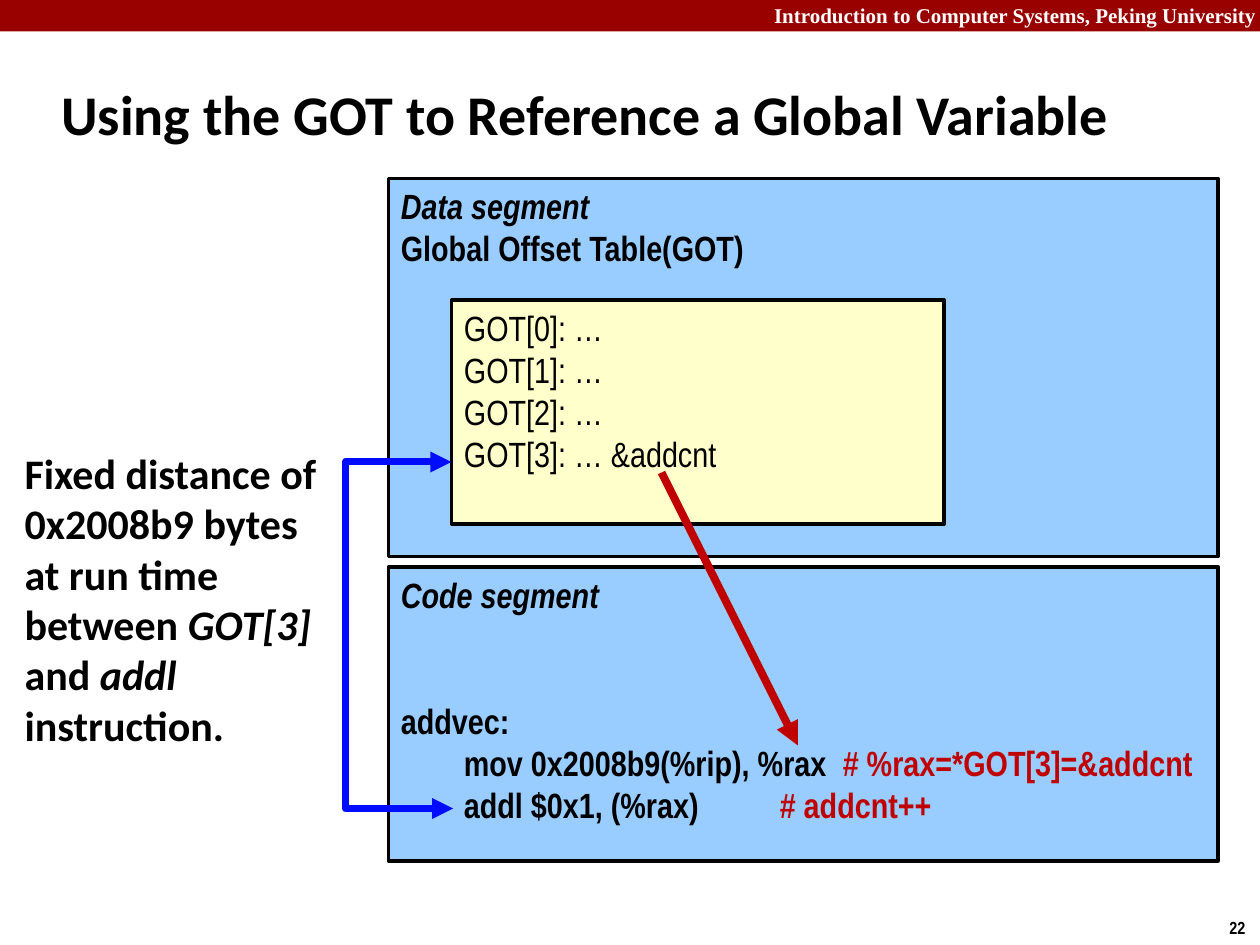
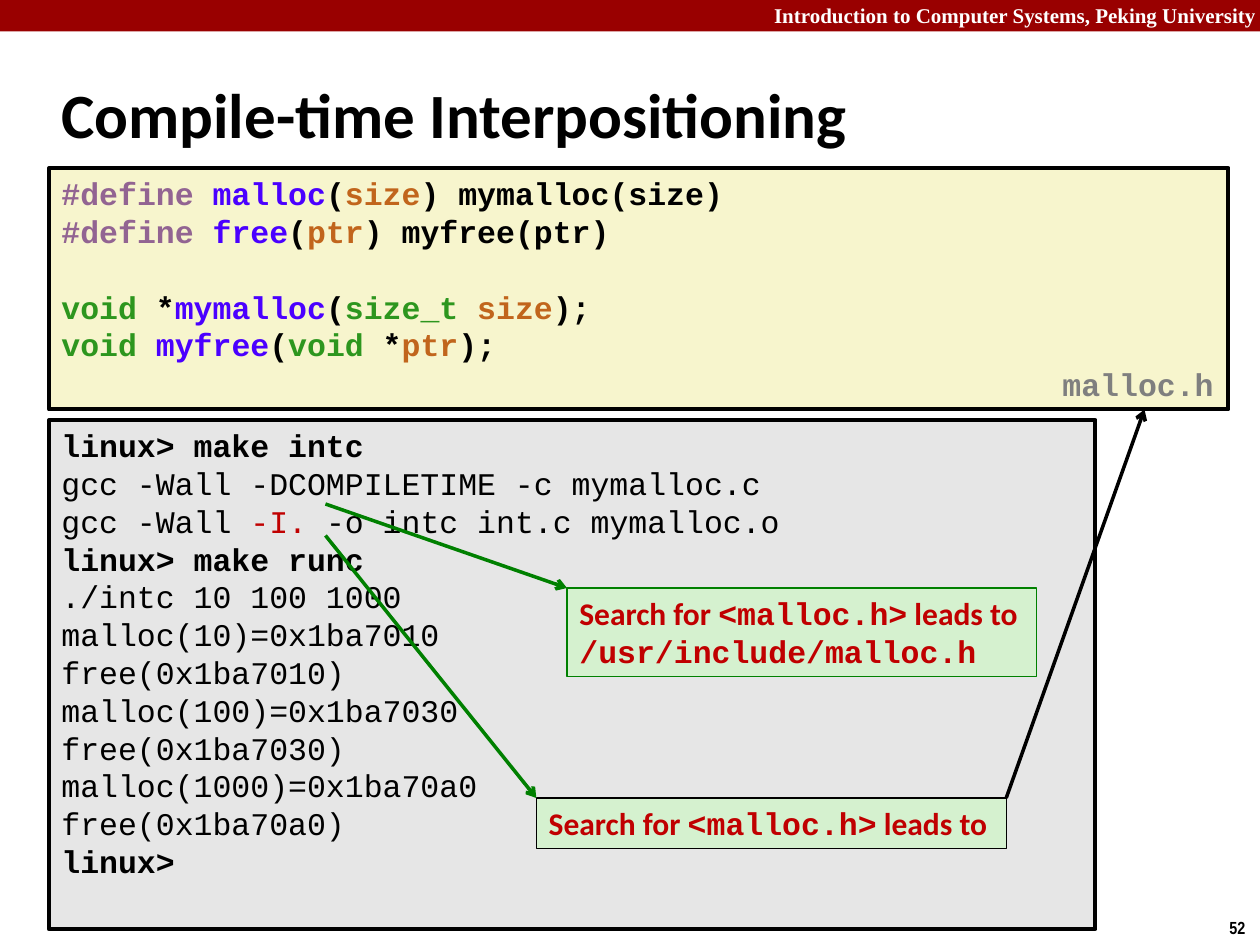
from lxml.etree import SubElement
from pptx import Presentation
from pptx.dml.color import RGBColor
from pptx.enum.shapes import MSO_CONNECTOR, MSO_SHAPE
from pptx.enum.text import MSO_ANCHOR, PP_ALIGN
from pptx.oxml.ns import qn
from pptx.util import Pt

COLORS = {
    "black": "000000", "white": "FFFFFF", "band": "990000",
    "segment": "99CCFF", "table": "FFFFCC", "distance": "000CFF", "red": "C00000",
    "header_file": "F7F5CD", "terminal": "E6E6E6", "callout": "D5F1CF",
    "green": "008000", "gray": "7F7F7F", "directive": "926492",
    "function": "4A00FF", "parameter": "C1651C", "type": "2D961E",
}
SANS, NARROW, MONO, SERIF = "Calibri", "Arial Narrow", "Courier New", "Times New Roman"
STYLES = {
    "italic": {"italic": True},
    "bold": {"bold": True},
    "mono": {"name": MONO},
    **{key: {"color": key} for key in ("red", "directive", "function", "parameter", "type")},
}
LEADING = 1.2


class Deck:
    def __init__(self):
        self.presentation = Presentation()
        self.presentation.slide_width = Pt(720)
        self.presentation.slide_height = Pt(540)
        self.slide = None

    def start_slide(self, title, number, title_size):
        layout = self.presentation.slide_layouts[6]
        self.slide = self.presentation.slides.add_slide(layout)
        self.box((0, 0, 720, 18), "band")
        self.text((432, -2, 293, 21.6), [["Introduction to Computer Systems, Peking University"]],
                  SERIF, 12, bold=True, color="white", align=PP_ALIGN.RIGHT)
        self.text((695.5, 520.5, 24.5, 19.5), [[number]], NARROW, 10, bold=True, wrap=False)
        self.text((28, 34.5, 656, 60), [[title]], SANS, title_size, bold=True,
                  anchor=MSO_ANCHOR.MIDDLE)

    @staticmethod
    def style_font(font, color=None, name=None, size=None, bold=None, italic=None):
        if name:
            font.name = name
        if size:
            font.size = size
        if bold is not None:
            font.bold = bold
        if italic is not None:
            font.italic = italic
        if color:
            font.color.rgb = RGBColor.from_string(COLORS[color])

    def fill_text(self, shape, paragraphs, font, size, bold=False, color="black",
                  align=PP_ALIGN.LEFT, anchor=MSO_ANCHOR.TOP, wrap=True,
                  before=None, tabs=None):
        """Fill a shape; a run is a string or (string, style), before and tabs go by index."""
        frame = shape.text_frame
        frame.word_wrap = wrap
        frame.vertical_anchor = anchor
        for index, runs in enumerate(paragraphs):
            paragraph = frame.add_paragraph() if index else frame.paragraphs[0]
            paragraph.alignment = align
            paragraph.line_spacing = Pt(size * LEADING)
            if before and index in before:
                paragraph.space_before = Pt(before[index])
            if tabs and index in tabs:
                stops = SubElement(paragraph._p.get_or_add_pPr(), qn("a:tabLst"))
                for position in tabs[index]:
                    SubElement(stops, qn("a:tab"), pos=str(Pt(position)), algn="l")
            self.style_font(paragraph.font, color, name=font, size=Pt(size), bold=bold)
            for item in runs:
                words, style = (item, None) if isinstance(item, str) else item
                run = paragraph.add_run()
                run.text = words
                if style:
                    target = paragraph if len(runs) == 1 else run
                    self.style_font(target.font, **STYLES[style])

    def text(self, place, paragraphs, font, size, **options):
        textbox = self.slide.shapes.add_textbox(*map(Pt, place))
        self.fill_text(textbox, paragraphs, font, size, **options)

    def set_line(self, shape, color, width, head=None, tail=None):
        shape.line.color.rgb = RGBColor.from_string(COLORS[color])
        shape.line.width = Pt(width)
        outline = shape._element.spPr.find(qn("a:ln"))
        for tag, kind in (("a:headEnd", head), ("a:tailEnd", tail)):
            if kind:
                SubElement(outline, qn(tag), type=kind)

    def box(self, place, fill, line=None, width=2):
        rectangle = self.slide.shapes.add_shape(MSO_SHAPE.RECTANGLE, *map(Pt, place))
        rectangle.shadow.inherit = False
        rectangle.fill.solid()
        rectangle.fill.fore_color.rgb = RGBColor.from_string(COLORS[fill])
        if line:
            self.set_line(rectangle, line, width)
        else:
            rectangle.line.fill.background()
        return rectangle

    def panel(self, place, fill, paragraphs, font, size, line="black", width=2, **options):
        self.fill_text(self.box(place, fill, line, width), paragraphs, font, size, **options)

    def arrow(self, start, end, color, width=2, tail="arrow"):
        connector = self.slide.shapes.add_connector(
            MSO_CONNECTOR.STRAIGHT, *map(Pt, start + end))
        self.set_line(connector, color, width, tail=tail)
        SubElement(connector._element.spPr, qn("a:effectLst"))

    def bracket(self, points, color, width):
        """Draw an open outline with an arrowhead at both ends."""
        first, *rest = [(Pt(x), Pt(y)) for x, y in points]
        builder = self.slide.shapes.build_freeform(*first, scale=1.0)
        builder.add_line_segments(rest, close=False)
        outline = builder.convert_to_shape()
        outline.shadow.inherit = False
        outline.fill.background()
        self.set_line(outline, color, width, head="triangle", tail="triangle")


def got_slide(deck):
    deck.start_slide("Using the GOT to Reference a Global Variable", "22", 32)
    deck.panel((222, 102, 474, 216), "segment",
               [[("Data segment", "italic")], ["Global Offset Table(GOT)"]],
               NARROW, 20, bold=True)
    entries = ["…", "…", "…", "… &addcnt"]
    deck.panel((258, 171.5, 281.5, 128), "table",
               [[f"GOT[{index}]: {entry}"] for index, entry in enumerate(entries)],
               NARROW, 20)
    code = [
        [("Code segment", "italic")],
        ["addvec:"],
        ["\tmov 0x2008b9(%rip), %rax\t", ("# %rax=*GOT[3]=&addcnt", "red")],
        ["\taddl $0x1, (%rax)\t", ("# addcnt++", "red")],
    ]
    deck.panel((222, 324, 474, 168), "segment", code, NARROW, 20, bold=True,
               before={1: 2 * 20 * LEADING}, tabs={2: (36, 252.5), 3: (36, 216.5)})
    got_entry_y, addl_y, bend_x = 264, 462, 197.5
    deck.bracket([(259, addl_y), (bend_x, addl_y), (bend_x, got_entry_y), (258, got_entry_y)],
                 "distance", 4)
    deck.text((7, 252, 191.5, 181.5),
              [["Fixed distance of 0x2008b9 bytes at run time between ", ("GOT[3] ", "italic"),
                "and ", ("addl ", "italic"), "instruction."]], SANS, 24, bold=True)
    deck.arrow((378, 270), (456, 426), "red", 4.5, "triangle")


def interposition_slide(deck):
    deck.start_slide("Compile-time Interpositioning", "52", 36)
    left, mono_size = 28, 18
    declarations = [
        [("#define ", "directive"), ("malloc", "function"), "(", ("size", "parameter"),
         ") mymalloc(size)"],
        [("#define ", "directive"), ("free", "function"), "(", ("ptr", "parameter"),
         ") myfree(ptr)"],
        [("void", "type"), " *", ("mymalloc", "function"), "(", ("size_t ", "type"),
         ("size", "parameter"), ");"],
        [("void ", "type"), ("myfree", "function"), "(", ("void", "type"), " *",
         ("ptr", "parameter"), ");"],
    ]
    deck.panel((left, 96, 674, 138), "header_file", declarations, MONO, mono_size,
               width=2.25, bold=True, before={2: mono_size * LEADING})
    deck.text((600, 205.2, 101.5, 28.8), [["malloc.h"]], MONO, mono_size,
              bold=True, color="gray", wrap=False)
    session = [
        [("linux> make intc", "bold")],
        ["gcc -Wall -DCOMPILETIME -c mymalloc.c"],
        ["gcc -Wall ", ("-I.", "red"), " -o intc int.c mymalloc.o"],
        [("linux> make runc", "bold")],
        ["./intc 10 100 1000"],
    ]
    for size, address in ((10, "0x1ba7010"), (100, "0x1ba7030"), (1000, "0x1ba70a0")):
        session += [[f"malloc({size})={address}"], [f"free({address})"]]
    session.append([("linux>", "bold")])
    deck.panel((left, 240, 598, 291), "terminal", session, MONO, mono_size, width=2.25)

    search = ["Search for ", ("<malloc.h>", "mono"), " leads to"]
    callout = {"width": 0.75, "bold": True, "color": "red", "wrap": False}
    deck.panel((306.5, 456, 268.5, 28.8), "callout", [search], SANS, 18, **callout)
    deck.arrow((186, 306), (306.5, 456), "green")
    deck.arrow((575, 456), (654, 234), "black")
    deck.panel((324, 336, 268.5, 50.8), "callout",
               [search, [("/usr/include/malloc.h", "mono")]], SANS, 18,
               line="green", **callout)
    deck.arrow((186, 288), (324, 336), "green")


def main():
    deck = Deck()
    got_slide(deck)
    interposition_slide(deck)
    deck.presentation.save("out.pptx")


if __name__ == "__main__":
    main()
